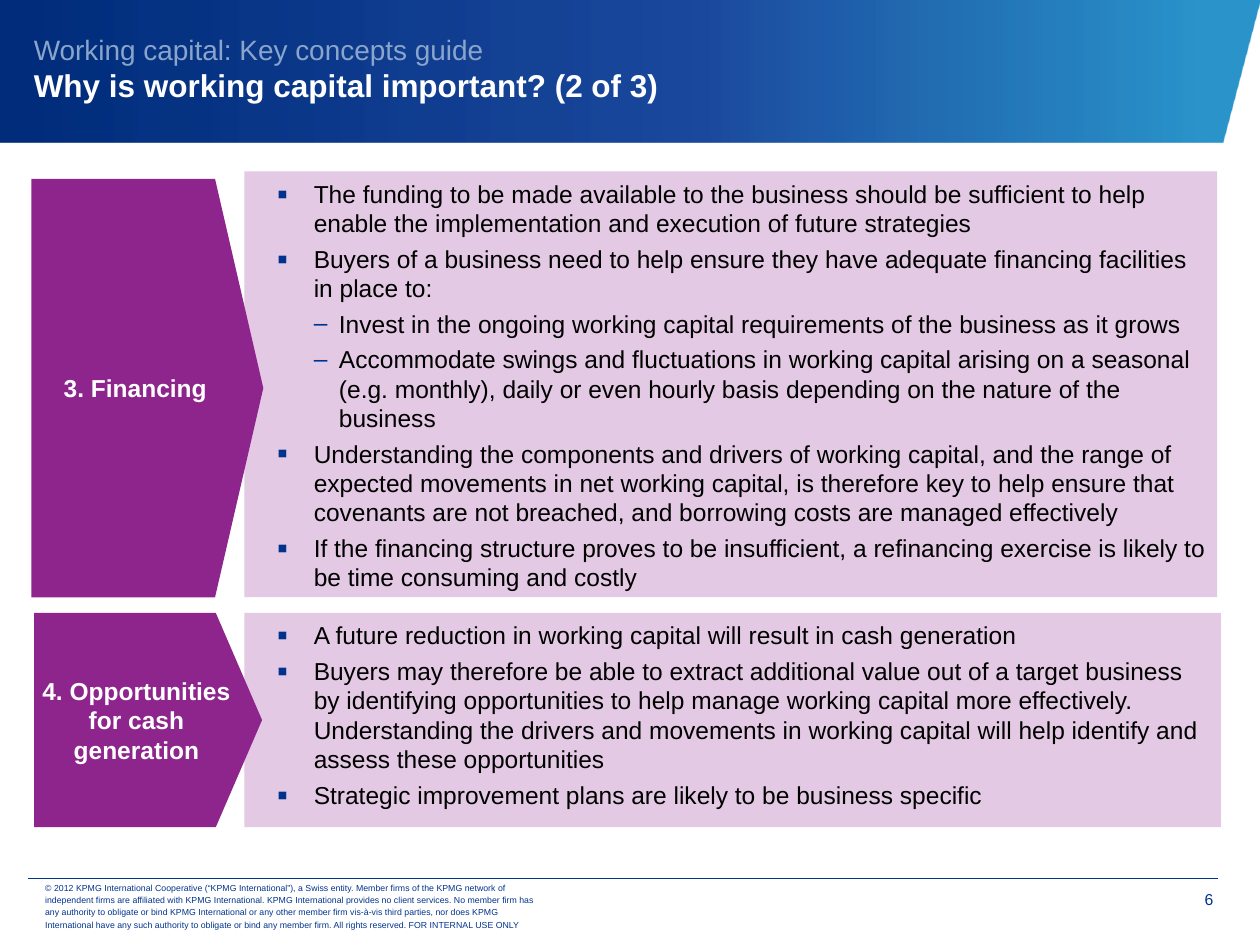
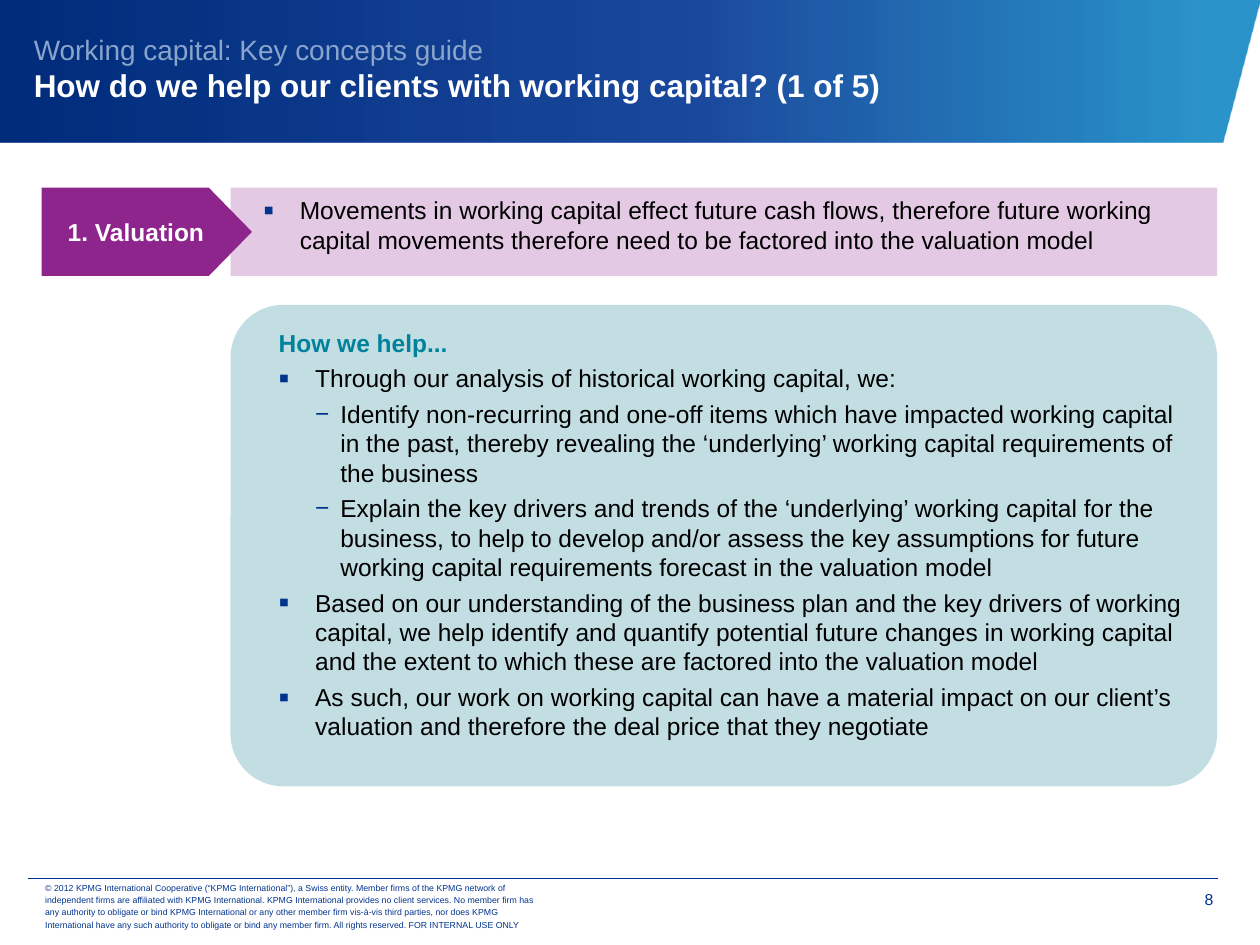
from lxml import etree
from pptx import Presentation
from pptx.dml.color import RGBColor
from pptx.enum.shapes import MSO_CONNECTOR, MSO_SHAPE
from pptx.enum.text import MSO_ANCHOR, PP_ALIGN
from pptx.oxml.ns import qn
from pptx.util import Inches, Pt

RECT = MSO_SHAPE.RECTANGLE
ROUNDED = MSO_SHAPE.ROUNDED_RECTANGLE
PENTAGON = MSO_SHAPE.PENTAGON
STRAIGHT = MSO_CONNECTOR.STRAIGHT
TOP, MIDDLE = MSO_ANCHOR.TOP, MSO_ANCHOR.MIDDLE
LEFT, CENTER, RIGHT = PP_ALIGN.LEFT, PP_ALIGN.CENTER, PP_ALIGN.RIGHT

# Grid: the slide is 100 columns by 75 rows, boxes are (column, row, columns, rows)
COLS, ROWS = 100, 75
UNIT = Inches(10) // COLS

FONT = "Arial"
COLORS = {
    "navy": "00338D", "pale_blue": "8AA5CB", "white": "FFFFFF", "black": "000000",
    "purple": "8E258D", "lilac": "E3C9E3", "aqua": "C3DEE2", "teal": "00829C",
}
# (position %, colour, opacity %), running from right to left
BAND_STOPS = [(4, "0080C0", 83), (44, "003492", 89), (100, "002C7A", 100)]

# style: (bullet, bullet size %, left margin, hanging indent, level)
STYLES = {
    "heading": (None, None, 4.9, -2.9, 1),
    "square": ("▪", 125, 4.9, -2.9, 1),
    "dash": ("–", 100, 6.9, -2, 2),
    "minus": ("−", 100, 6.9, -2, 2),
}

GUIDE = "Working capital: Key concepts guide"
COPYRIGHT = (
    "© 2012 KPMG International Cooperative (“KPMG International”), a Swiss entity. "
    "Member firms of the KPMG network of independent firms are affiliated with KPMG "
    "International. KPMG International provides no client services. No member firm has any "
    "authority to obligate or bind KPMG International or any other member firm vis-à-vis third "
    "parties, nor does KPMG International have any such authority to obligate or bind any member "
    "firm. All rights reserved. FOR INTERNAL USE ONLY"
)

FINANCING = [
    ("square", "The funding to be made available to the business should be sufficient to help "
               "enable the implementation and execution of future strategies"),
    ("square", "Buyers of a business need to help ensure they have adequate financing facilities "
               "in place to:"),
    ("dash", "Invest in the ongoing working capital requirements of the business as it grows"),
    ("dash", "Accommodate swings and fluctuations in working capital arising on a seasonal "
             "(e.g. monthly), daily or even hourly basis depending on the nature of the business"),
    ("square", "Understanding the components and drivers of working capital, and the range of "
               "expected movements in net working capital, is therefore key to help ensure that "
               "covenants are not breached, and borrowing costs are managed effectively"),
    ("square", "If the financing structure proves to be insufficient, a refinancing exercise is "
               "likely to be time consuming and costly"),
]
OPPORTUNITIES = [
    ("square", "A future reduction in working capital will result in cash generation"),
    ("square", "Buyers may therefore be able to extract additional value out of a target business "
               "by identifying opportunities to help manage working capital more effectively. "
               "Understanding the drivers and movements in working capital will help identify and "
               "assess these opportunities"),
    ("square", "Strategic improvement plans are likely to be business specific"),
]
VALUATION = [
    ("square", "Movements in working capital effect future cash flows, therefore future working "
               "capital movements therefore need to be factored into the valuation model"),
]
HOW_WE_HELP = [
    ("heading", "How we help..."),
    ("square", "Through our analysis of historical working capital, we:"),
    ("minus", "Identify non-recurring and one-off items which have impacted working capital in "
              "the past, thereby revealing the ‘underlying’ working capital requirements of the "
              "business"),
    ("minus", "Explain the key drivers and trends of the ‘underlying’ working capital for the "
              "business, to help to develop and/or assess the key assumptions for future working "
              "capital requirements forecast in the valuation model"),
    ("square", "Based on our understanding of the business plan and the key drivers of working "
               "capital, we help identify and quantify potential future changes in working "
               "capital and the extent to which these are factored into the valuation model"),
    ("square", "As such, our work on working capital can have a material impact on our client’s "
               "valuation and therefore the deal price that they negotiate"),
]


def grid(*values):
    return [round(v * UNIT) for v in values]


def rgb(name):
    return RGBColor.from_string(COLORS[name])


def style_run(r, size, color, bold=False):
    r.font.name, r.font.size, r.font.bold = FONT, Pt(size), bold
    r.font.color.rgb = rgb(color)


def setup_frame(sp, anchor, insets=(1, 0.5, 1, 0.5)):
    tf = sp.text_frame
    tf.word_wrap = True
    tf.vertical_anchor = anchor
    tf.margin_left, tf.margin_top, tf.margin_right, tf.margin_bottom = grid(*insets)
    return tf


def add_text(slide, box, text, runs, anchor=TOP, align=LEFT, **frame):
    """Text box with one paragraph; runs lists (size, colour, bold) per run."""
    tf = setup_frame(slide.shapes.add_textbox(*grid(*box)), anchor, **frame)
    p = tf.paragraphs[0]
    p.text, p.alignment = text, align
    for r, look in zip(p.runs, runs):
        style_run(r, *look)
    return p


def add_block(slide, kind, box, fill, anchor, adjust=None):
    sp = slide.shapes.add_shape(kind, *grid(*box))
    sp.shadow.inherit = False
    sp.fill.solid()
    sp.fill.fore_color.rgb = rgb(fill)
    sp.line.fill.background()
    if adjust is not None:
        sp.adjustments[0] = adjust
    return setup_frame(sp, anchor, (0.6,) * 4)


def add_bullet(p, style):
    char, size, margin, indent, level = STYLES[style]
    p.level = level
    pPr = p._p.get_or_add_pPr()
    margin, indent = grid(margin, indent)
    pPr.set("marL", str(margin))
    pPr.set("indent", str(indent))
    if char is None:
        etree.SubElement(pPr, qn("a:buNone"))
        return
    color = etree.SubElement(pPr, qn("a:buClr"))
    etree.SubElement(color, qn("a:srgbClr"), val=COLORS["navy"])
    etree.SubElement(pPr, qn("a:buSzPct"), val=str(size * 1000))
    etree.SubElement(pPr, qn("a:buFont"), typeface=FONT)
    etree.SubElement(pPr, qn("a:buChar"), char=char)


def fill_items(tf, items):
    for i, (style, text) in enumerate(items):
        p = tf.add_paragraph() if i else tf.paragraphs[0]
        p.text, p.alignment = text, LEFT
        add_bullet(p, style)
        if i:
            p.space_before = Pt(3.5)
        heading = style == "heading"
        style_run(p.runs[0], 14, "teal" if heading else "black", heading)


def add_header(slide, box, title):
    # Slanted gradient band
    x, y, w, h = box
    corners = [(x + w, y), (x + 0.97 * w, y + h), (x, y + h)]
    builder = slide.shapes.build_freeform(*grid(x, y))
    builder.add_line_segments([grid(*c) for c in corners], close=True)
    sp = builder.convert_to_shape()
    sp.shadow.inherit = False
    sp.line.fill.background()
    sp.fill.gradient()
    sp.fill.gradient_angle = 180
    stops = sp._element.spPr.find(qn("a:gradFill")).find(qn("a:gsLst"))
    for old in list(stops):
        stops.remove(old)
    for pos, color, alpha in BAND_STOPS:
        gs = etree.SubElement(stops, qn("a:gs"), pos=str(pos * 1000))
        clr = etree.SubElement(gs, qn("a:srgbClr"), val=color)
        etree.SubElement(clr, qn("a:alpha"), val=str(alpha * 1000))

    # Guide name above the slide title
    add_text(slide, (x + 1.7, y, w - 1.7, h - 0.5), f"{GUIDE}\v{title}",
             [(16, "pale_blue"), (18, "white", True)], MIDDLE)


def add_footer(slide, box, number):
    x, y, w, h = box
    # Rule
    line = slide.shapes.add_connector(STRAIGHT, *grid(x, y, x + w, y))
    line.line.color.rgb = rgb("navy")
    line.line.width = Pt(0.25)
    etree.SubElement(line._element.spPr, qn("a:effectLst"))
    # Copyright and page number
    p = add_text(slide, (x + 0.4, y + 0.4, 41.5, h), COPYRIGHT, [(5, "navy")], MIDDLE)
    p.line_spacing = Pt(7)
    add_text(slide, (x + w - 5.9, y + 0.1, 5.5, h), str(number), [(9, "navy")],
             align=RIGHT, insets=(0.8, 0.8, 0, 0))


def add_topic(slide, box, label, items, tag_width, overlap, point, tag_drop=0):
    x, y, w, h = box
    # Panel with bullets
    start = tag_width - overlap
    fill_items(add_block(slide, RECT, (x + start, y, w - start, h), "lilac", TOP), items)
    # Arrow tag overlapping the panel
    tf = add_block(slide, PENTAGON, (x, y + tag_drop, tag_width, h - tag_drop),
                   "purple", MIDDLE, point)
    p = tf.paragraphs[0]
    p.text, p.alignment = label, CENTER
    style_run(p.runs[0], 14, "white", True)


def add_help_panel(slide, box, items):
    fill_items(add_block(slide, ROUNDED, box, "aqua", TOP, 0.109), items)


def new_slide(prs, title, number):
    slide = prs.slides.add_slide(prs.slide_layouts[6])
    add_header(slide, (0, 0, COLS, 11.3), title)
    add_footer(slide, (2.2, 69.7, 94.5, 3.5), number)
    return slide


def build_importance(prs):
    slide = new_slide(prs, "Why is working capital important? (2 of 3)", 6)
    add_topic(slide, (2.7, 48.65, 94.2, 17), "4. Opportunities for cash generation",
              OPPORTUNITIES, 18.1, 1.4, 0.216)
    add_topic(slide, (2.5, 13.6, 94.1, 33.8), "3. Financing",
              FINANCING, 18.4, 1.5, 0.208, tag_drop=0.6)


def build_client_help(prs):
    slide = new_slide(prs, "How do we help our clients with working capital? (1 of 5)", 8)
    add_topic(slide, (3.3, 14.9, 93.3, 7), "1. Valuation", VALUATION, 16.7, 1.7, 0.489)
    add_help_panel(slide, (18.3, 24.2, 78.3, 38.2), HOW_WE_HELP)


def main():
    prs = Presentation()
    prs.slide_width, prs.slide_height = grid(COLS, ROWS)
    build_importance(prs)
    build_client_help(prs)
    prs.save("out.pptx")


if __name__ == "__main__":
    main()
